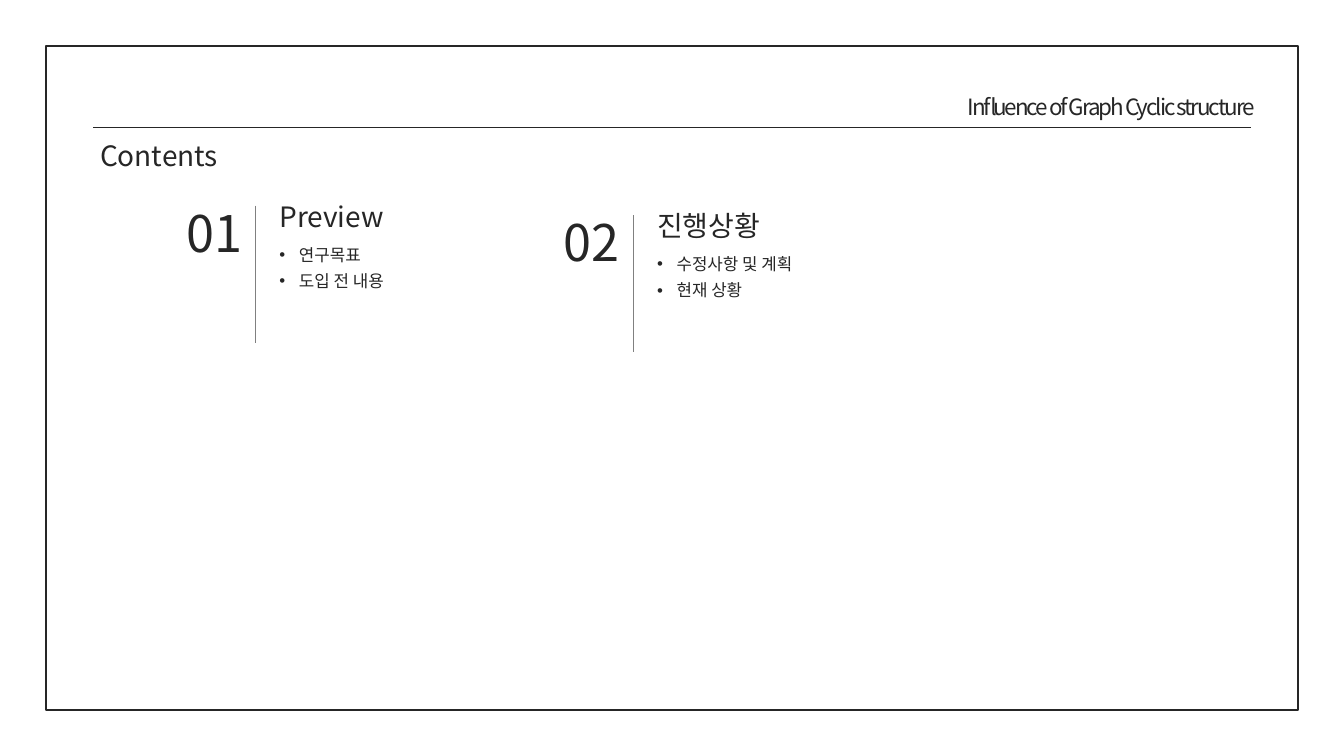
from lxml import etree
from pptx import Presentation
from pptx.dml.color import RGBColor
from pptx.enum.shapes import MSO_CONNECTOR, MSO_SHAPE
from pptx.enum.text import MSO_ANCHOR, MSO_AUTO_SIZE, PP_ALIGN
from pptx.oxml.ns import qn
from pptx.util import Inches, Pt

STRAIGHT = MSO_CONNECTOR.STRAIGHT
RECTANGLE = MSO_SHAPE.RECTANGLE
TOP, MIDDLE = MSO_ANCHOR.TOP, MSO_ANCHOR.MIDDLE
GROW = MSO_AUTO_SIZE.SHAPE_TO_FIT_TEXT
LEFT, CENTER, RIGHT = PP_ALIGN.LEFT, PP_ALIGN.CENTER, PP_ALIGN.RIGHT

INK = RGBColor(0x26, 0x26, 0x26)
GRAY = RGBColor(0x80, 0x80, 0x80)
FONT = "Noto Sans CJK KR"
BULLET_INDENT = Inches(0.29)

# number, title, items, left and top of the section
SECTIONS = [
    ("01", "Preview", ["연구목표", "도입 전 내용"], 2.57, 2.92),
    ("02", "진행상황", ["수정사항 및 계획", "현재 상황"], 8.19, 3.06),
]


def add_frame(shapes):
    sp = shapes.add_shape(RECTANGLE, Inches(0.68), Inches(0.68),
                          Inches(18.63), Inches(9.88))
    sp.shadow.inherit = False
    sp.fill.background()
    sp.line.color.rgb = INK
    sp.line.width = Pt(2)


def add_line(shapes, x1, y1, x2, y2, color):
    line = shapes.add_connector(STRAIGHT, Inches(x1), Inches(y1),
                                Inches(x2), Inches(y2))
    line.line.color.rgb = color
    line.line.width = Pt(0.5)
    etree.SubElement(line._element.spPr, qn("a:effectLst"))


def set_bullet(p):
    p.line_spacing = 1.3
    pPr = p._p.get_or_add_pPr()
    pPr.set("marL", str(BULLET_INDENT))
    pPr.set("indent", str(-BULLET_INDENT))
    etree.SubElement(pPr, qn("a:buFont")).set("typeface", "Arial")
    etree.SubElement(pPr, qn("a:buChar")).set("char", "•")


def add_text(shapes, lines, left, top, width, height, size,
             align=LEFT, anchor=TOP, bullets=False, spacing=None):
    """Add a text box with one paragraph per line; spacing is in points."""
    box = shapes.add_textbox(Inches(left), Inches(top),
                             Inches(width), Inches(height))
    tf = box.text_frame
    tf.word_wrap = True
    tf.auto_size = GROW
    tf.vertical_anchor = anchor
    for i, text in enumerate(lines):
        p = tf.add_paragraph() if i else tf.paragraphs[0]
        p.alignment = align
        if bullets:
            set_bullet(p)
        r = p.add_run()
        r.text = text
        r.font.size = Pt(size)
        r.font.name = FONT
        r.font.color.rgb = INK
        rPr = r._r.get_or_add_rPr()
        etree.SubElement(rPr, qn("a:ea")).set("typeface", FONT)
        if spacing is not None:
            rPr.set("spc", str(round(spacing * 100)))


def add_section(shapes, number, title, items, left, top):
    group = shapes.add_group_shape().shapes
    text_left, line_x = left + 1.49, left + 1.23
    add_text(group, [title], text_left, top, 3.19, 0.61, 30)
    add_text(group, items, text_left, top + 0.58, 3.97, 0.85, 18, bullets=True)
    add_text(group, [number], left, top + 0.03, 1.23, 1.01, 54, CENTER, MIDDLE)
    add_line(group, line_x, top + 0.14, line_x, top + 2.18, GRAY)


def main():
    prs = Presentation()
    prs.slide_width, prs.slide_height = Inches(20), Inches(11.25)
    shapes = prs.slides.add_slide(prs.slide_layouts[6]).shapes
    add_frame(shapes)
    add_line(shapes, 1.39, 1.9, 18.61, 1.9, INK)
    add_text(shapes, ["Contents"], 1.39, 2.01, 5.07, 0.61, 30)
    add_text(shapes, ["Influence of Graph Cyclic structure"],
             12.99, 1.34, 5.78, 0.5, 24, RIGHT, spacing=-2.2)
    for section in SECTIONS:
        add_section(shapes, *section)
    prs.save("out.pptx")


if __name__ == "__main__":
    main()
